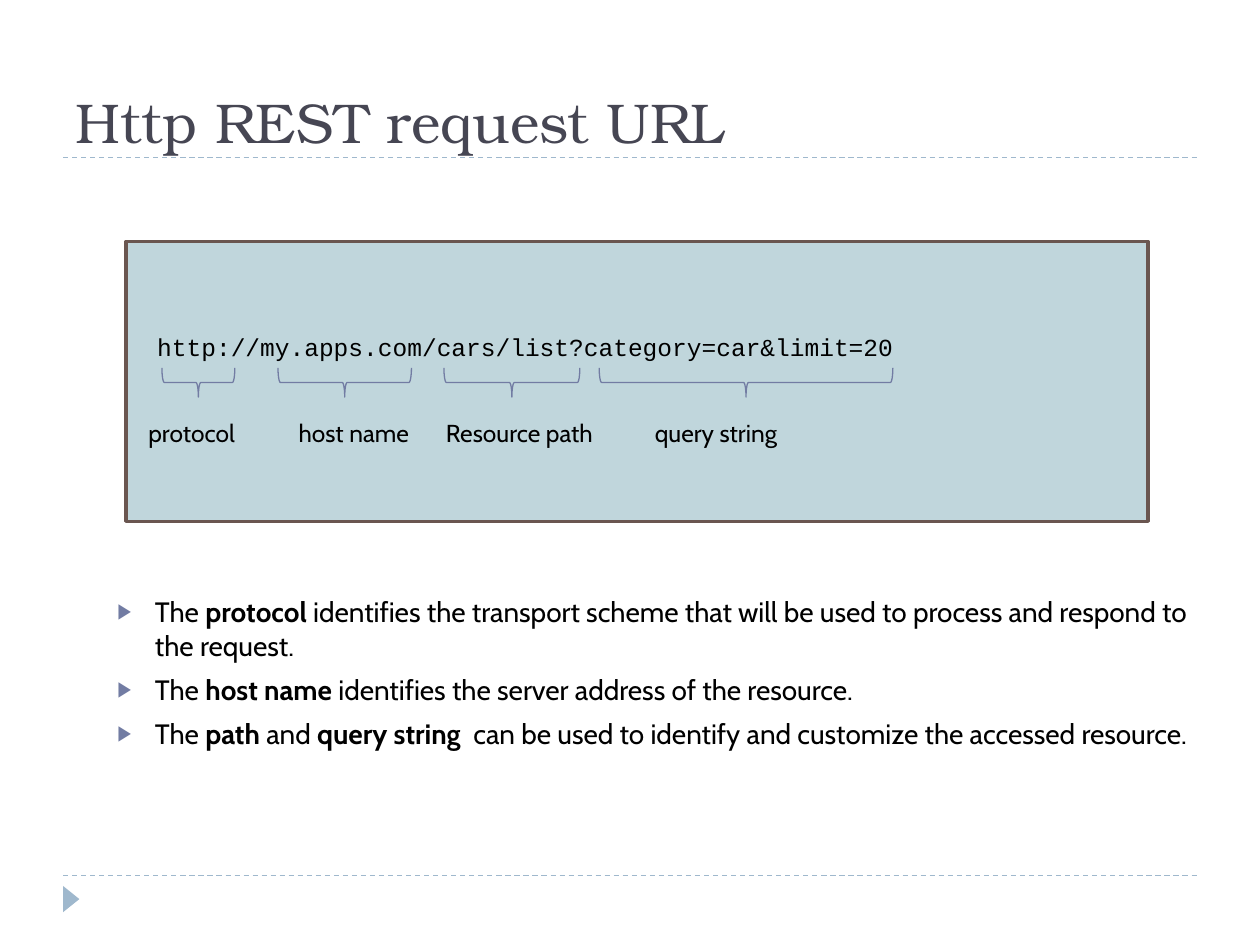
from dataclasses import dataclass

from lxml import etree
from pptx import Presentation
from pptx import util as u
from pptx.dml.color import RGBColor
from pptx.enum import dml, shapes, text
from pptx.oxml import ns

INK = RGBColor(0x00, 0x00, 0x00)
HEADING = RGBColor(0x46, 0x46, 0x53)
PALE_BLUE = RGBColor(0x9F, 0xB8, 0xCD)
PANEL_FILL = RGBColor(0xC0, 0xD6, 0xDC)
PANEL_EDGE = RGBColor(0x6A, 0x56, 0x50)
ACCENT = RGBColor(0x72, 0x7C, 0xA3)

BRACE_MIDDLE = 7.71
BRACE_DEPTH = 0.59
LABEL_TOP = 8.31
LABEL_HEIGHT = 0.86


@dataclass(frozen=True)
class UrlPart:
    label: str
    brace_centre: float
    brace_span: float
    label_left: float
    label_width: float


URL_PARTS = [
    UrlPart("protocol", 4.0, 1.47, 2.74, 2.62),
    UrlPart("host name", 6.95, 2.69, 5.77, 3.28),
    UrlPart("Resource path", 10.32, 2.74, 8.74, 4.01),
    UrlPart("query string", 15.04, 5.92, 12.95, 3.68),
]

EXPLANATIONS = [
    [("The ", False), ("protocol", True),
     (" identifies the transport scheme that will be used to process "
      "and respond to the request.", False)],
    [("The ", False), ("host name ", True),
     ("identifies the server address of the resource.", False)],
    [("The ", False), ("path", True), (" and ", False), ("query string  ", True),
     ("can be used to identify and customize the accessed resource.", False)],
]


def place(shape, left: float, top: float, width: float, height: float) -> None:
    shape.left, shape.top = u.Cm(left), u.Cm(top)
    shape.width, shape.height = u.Cm(width), u.Cm(height)


def style(font, name: str, size: float, color: RGBColor, bold: bool = False) -> None:
    font.name, font.size, font.bold = name, u.Pt(size), bold
    font.color.rgb = color


def add_rule(slide, y: float) -> None:
    rule = slide.shapes.add_connector(
        shapes.MSO_CONNECTOR.STRAIGHT, u.Cm(1.27), u.Cm(y), u.Cm(24.13), u.Cm(y))
    rule.line.color.rgb = PALE_BLUE
    rule.line.width = u.Pt(0.75)
    rule.line.dash_style = dml.MSO_LINE.DASH
    etree.SubElement(rule._element.spPr, ns.qn("a:effectLst"))


def add_preset(slide, preset, left: float, top: float, width: float, height: float):
    shape = slide.shapes.add_shape(
        preset, u.Cm(left), u.Cm(top), u.Cm(width), u.Cm(height))
    shape.shadow.inherit = False
    return shape


def add_url_part(slide, part: UrlPart) -> None:
    brace = add_preset(
        slide, shapes.MSO_SHAPE.LEFT_BRACE,
        part.brace_centre - BRACE_DEPTH / 2, BRACE_MIDDLE - part.brace_span / 2,
        BRACE_DEPTH, part.brace_span)
    brace.rotation = 270
    brace.fill.background()
    brace.line.color.rgb = ACCENT
    brace.line.width = u.Pt(0.75)

    label = slide.shapes.add_textbox(
        u.Cm(part.label_left), u.Cm(LABEL_TOP), u.Cm(part.label_width), u.Cm(LABEL_HEIGHT))
    label.text_frame.word_wrap = True
    label.text_frame.text = part.label
    style(label.text_frame.paragraphs[0].runs[0].font, "Cabin", 14, INK)


def set_bullet(paragraph) -> None:
    paragraph.space_before = u.Pt(6)
    properties = paragraph._p.get_or_add_pPr()
    properties.set("marL", str(u.Cm(0.76)))
    properties.set("indent", str(-u.Cm(0.76)))
    color = etree.SubElement(properties, ns.qn("a:buClr"))
    etree.SubElement(color, ns.qn("a:srgbClr"), val=str(ACCENT))
    etree.SubElement(properties, ns.qn("a:buSzPct"), val="76000")
    etree.SubElement(properties, ns.qn("a:buChar"), char="\u25b6")


def fill_explanations(body) -> None:
    place(body, 2.11, 11.86, 22.22, 4.45)
    frame = body.text_frame
    frame.auto_size = text.MSO_AUTO_SIZE.NONE
    for index, pieces in enumerate(EXPLANATIONS):
        paragraph = frame.paragraphs[0] if index == 0 else frame.add_paragraph()
        set_bullet(paragraph)
        for wording, bold in pieces:
            run = paragraph.add_run()
            run.text = wording
            style(run.font, "Cabin", 16, INK, bold)


def fill_title(title) -> None:
    place(title, 1.27, 1.07, 22.86, 2.18)
    frame = title.text_frame
    frame.text = "Http REST request URL"
    frame.auto_size = text.MSO_AUTO_SIZE.NONE
    frame.vertical_anchor = text.MSO_ANCHOR.BOTTOM
    heading = frame.paragraphs[0]
    heading.alignment = text.PP_ALIGN.LEFT
    style(heading.runs[0].font, "TeX Gyre Bonum", 32, HEADING)


def add_url_panel(slide) -> None:
    panel = add_preset(slide, shapes.MSO_SHAPE.RECTANGLE, 2.54, 4.87, 20.6, 5.64)
    panel.fill.solid()
    panel.fill.fore_color.rgb = PANEL_FILL
    panel.line.color.rgb = PANEL_EDGE
    panel.line.width = u.Pt(2)
    frame = panel.text_frame
    frame.word_wrap = True
    frame.vertical_anchor = text.MSO_ANCHOR.TOP
    frame.margin_left = u.Cm(0.63)
    frame.margin_top = u.Cm(1.83)
    frame.text = "http://my.apps.com/cars/list?category=car&limit=20"
    url = frame.paragraphs[0]
    url.alignment = text.PP_ALIGN.LEFT
    style(url.runs[0].font, "Courier New", 14, INK)


def main() -> None:
    deck = Presentation()
    deck.slide_width, deck.slide_height = u.Cm(25.4), u.Cm(19.05)
    slide = deck.slides.add_slide(deck.slide_layouts[1])

    for y in (17.65, 3.17):
        add_rule(slide, y)
    marker = add_preset(slide, shapes.MSO_SHAPE.ISOSCELES_TRIANGLE, 1.17, 17.96, 0.53, 0.33)
    marker.rotation = 90
    marker.fill.solid()
    marker.fill.fore_color.rgb = PALE_BLUE
    marker.line.fill.background()

    fill_title(slide.shapes.title)
    fill_explanations(slide.placeholders[1])
    add_url_panel(slide)
    for part in URL_PARTS:
        add_url_part(slide, part)

    deck.save("out.pptx")


main()
